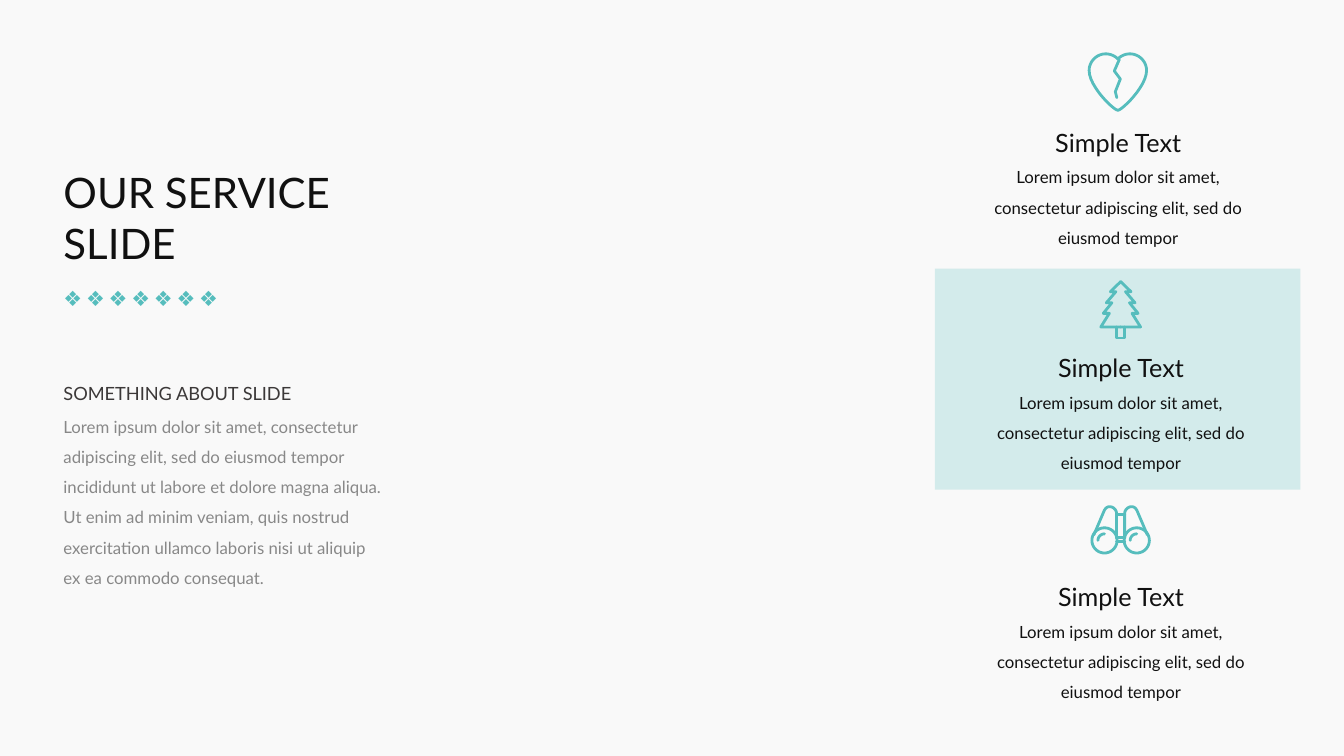
import pptx
import pptx.util
import pptx.dml.color
import pptx.enum.shapes
import pptx.enum.text
import pptx.oxml
import pptx.oxml.ns
import lxml.etree

Cm = pptx.util.Cm
Pt = pptx.util.Pt
ALIGN = pptx.enum.text.PP_ALIGN

COLORS = {
    "background": "F9F9F9",
    "accent": "56BDBD",
    "dark": "111111",
    "heading": "3B3838",
    "grey": "888888",
}
TITLE = "OUR SERVICE SLIDE"
ABOUT_HEADING = "SOMETHING ABOUT SLIDE"
ABOUT_TEXT = (
    "Lorem ipsum dolor sit amet, consectetur adipiscing elit, sed do eiusmod tempor "
    "incididunt ut labore et dolore magna aliqua. Ut enim ad minim veniam, quis nostrud "
    "exercitation ullamco laboris nisi ut aliquip ex ea commodo consequat."
)
SERVICE_HEADING = "Simple Text"
SERVICE_TEXT = (
    "Lorem ipsum dolor sit amet, consectetur adipiscing elit, sed do eiusmod tempor"
)
DIAMOND_COUNT = 7

# ruff: noqa
HEART = {
    "axis": 30,
    "halves": [
        [(30, 6.5), (27, 3.5, 22.5, 1.5, 18, 1.5), (9, 1.5, 1.5, 9, 1.5, 18),
         (1.5, 34, 26, 57.5, 30, 57.5)],
    ],
    "singles": [[(31.5, 7), (26.5, 18.5), (32.5, 26.5), (27.5, 39), (29, 45)]],
}
TREE = {
    "axis": 21.75,
    "halves": [
        [(21.75, 1.5), (11.5, 11.5), (17, 11.5), (7.5, 22.5), (13, 22.5),
         (4.5, 33), (10.5, 33), (2, 46.5), (21.75, 46.5)],
        [(18, 46.5), (18, 57.5), (21.75, 57.5)],
    ],
    "singles": [],
}
BINOCULARS = {
    "axis": 30,
    "halves": [
        [(14, 22.5), (20.9, 22.5, 26.5, 28.1, 26.5, 35), (26.5, 41.9, 20.9, 47.5, 14, 47.5),
         (7.1, 47.5, 1.5, 41.9, 1.5, 35), (1.5, 28.1, 7.1, 22.5, 14, 22.5)],
        [(3.5, 29.5), (13.5, 6), (14.5, 3.5, 16.5, 1.5, 19, 1.5),
         (22.5, 1.5, 26, 4.5, 26, 8.5), (26, 33)],
    ],
    "singles": [
        [(26, 9.5), (34, 9.5)],
        [(26, 32), (34, 32)],
        [(26, 36.5), (34, 36.5)],
        [(7.5, 35), (7.5, 31.5, 10.5, 28.5, 14, 28.5)],
        [(39.5, 35), (39.5, 31.5, 42.5, 28.5, 46, 28.5)],
    ],
}
SERVICES = [
    {"icon": HEART, "icon_at": (27.41, 1.32), "center": 28.18, "top": 3.2},
    {"icon": TREE, "icon_at": (27.69, 7.06), "center": 28.25, "top": 8.88},
    {"icon": BINOCULARS, "icon_at": (27.48, 12.73), "center": 28.25, "top": 14.65},
]
ICON_UNIT = 0.0254
CURVE_STEPS = 12


def rgb(name):
    return pptx.dml.color.RGBColor.from_string(COLORS[name])


def write(holder, text, size, color, align=ALIGN.LEFT, wrap=True, spacing=1.0, font="Lato"):
    frame = holder.text_frame
    frame.margin_left = frame.margin_right = frame.margin_top = frame.margin_bottom = 0
    frame.word_wrap = wrap
    frame.auto_size = pptx.enum.text.MSO_AUTO_SIZE.SHAPE_TO_FIT_TEXT
    frame.vertical_anchor = pptx.enum.text.MSO_ANCHOR.TOP
    paragraph = frame.paragraphs[0]
    paragraph.alignment = align
    paragraph.line_spacing = spacing
    run = paragraph.add_run()
    run.text = text
    run.font.name = font
    run.font.size = Pt(size)
    run.font.color.rgb = rgb(color)


def add_text(slide, left, top, width, height, *content, **style):
    box = slide.shapes.add_textbox(Cm(left), Cm(top), Cm(width), Cm(height))
    write(box, *content, **style)


def trace(stroke):
    points = [stroke[0]]
    for step in stroke[1:]:
        if len(step) == 2:
            points.append(step)
            continue
        x0, y0 = points[-1]
        x1, y1, x2, y2, x3, y3 = step
        for i in range(1, CURVE_STEPS + 1):
            t = i / CURVE_STEPS
            a, b, c, d = (1 - t) ** 3, 3 * t * (1 - t) ** 2, 3 * t * t * (1 - t), t ** 3
            points.append((a * x0 + b * x1 + c * x2 + d * x3,
                           a * y0 + b * y1 + c * y2 + d * y3))
    return points


def add_icon(slide, icon, left, top):
    halves = [trace(stroke) for stroke in icon["halves"]]
    mirrored = [[(2 * icon["axis"] - x, y) for x, y in half] for half in halves]
    strokes = [
        [(Cm(left + x * ICON_UNIT), Cm(top + y * ICON_UNIT)) for x, y in points]
        for points in halves + mirrored + [trace(stroke) for stroke in icon["singles"]]
    ]
    builder = slide.shapes.build_freeform(*strokes[0][0])
    builder.add_line_segments(strokes[0][1:], close=False)
    for points in strokes[1:]:
        builder.move_to(*points[0])
        builder.add_line_segments(points[1:], close=False)
    outline = builder.convert_to_shape()
    outline.shadow.inherit = False
    outline.fill.background()
    outline.line.color.rgb = rgb("accent")
    outline.line.width = Pt(2)
    line = outline.line._get_or_add_ln()
    line.set("cap", "rnd")
    lxml.etree.SubElement(line, pptx.oxml.ns.qn("a:round"))


def add_highlight(slide):
    panel = slide.shapes.add_shape(
        pptx.enum.shapes.MSO_SHAPE.RECTANGLE, Cm(23.56), Cm(6.77), Cm(9.21), Cm(5.57))
    panel.shadow.inherit = False
    panel.line.fill.background()
    panel.fill.solid()
    panel.fill.fore_color.rgb = rgb("accent")
    color = panel.fill._xPr.find(".//" + pptx.oxml.ns.qn("a:srgbClr"))
    lxml.etree.SubElement(color, pptx.oxml.ns.qn("a:alpha")).set("val", "23000")


def main():
    deck = pptx.Presentation()
    deck.slide_width, deck.slide_height = Cm(33.87), Cm(19.05)
    slide = deck.slides.add_slide(deck.slide_layouts[5])
    slide.background.fill.solid()
    slide.background.fill.fore_color.rgb = rgb("background")

    title = slide.shapes.title
    title.left, title.top, title.width, title.height = Cm(1.6), Cm(4.2), Cm(7.01), Cm(2.57)
    write(title, TITLE, 30, "dark")
    for i in range(DIAMOND_COUNT):
        add_text(slide, 1.6 + i * 0.57, 7.19, 0.48, 0.64, "❖", 15, "accent",
                 wrap=False, font="Calibri")
    add_text(slide, 1.6, 9.63, 5.87, 0.56, ABOUT_HEADING, 13, "heading", wrap=False)
    add_text(slide, 1.6, 10.24, 8.15, 4.62, ABOUT_TEXT, 12, "grey", spacing=1.5)

    add_highlight(slide)
    for service in SERVICES:
        center, top = service["center"], service["top"]
        add_icon(slide, service["icon"], *service["icon_at"])
        add_text(slide, center - 1.69, top, 3.38, 0.76, SERVICE_HEADING, 18, "dark",
                 align=ALIGN.CENTER, wrap=False)
        add_text(slide, center - 3.16, top + 0.76, 6.32, 2.31, SERVICE_TEXT, 12, "dark",
                 align=ALIGN.CENTER, spacing=1.5)

    deck.save("out.pptx")


if __name__ == "__main__":
    main()
